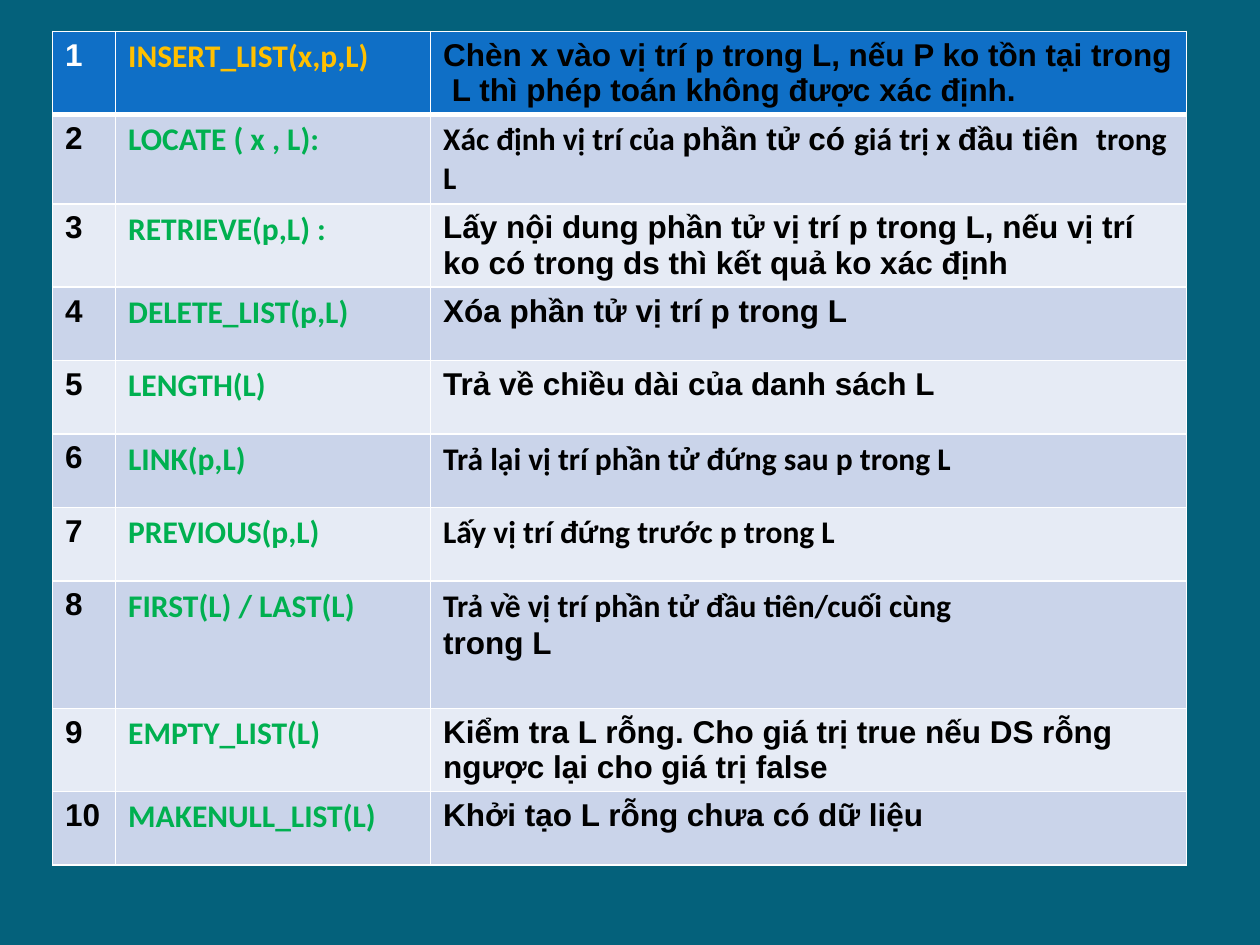
from lxml import etree
from pptx import Presentation
from pptx.dml.color import RGBColor
from pptx.oxml.ns import qn
from pptx.util import Cm, Pt

SANS, BODY = "Arial", "Calibri"
BACKGROUND, HEADER, BANDS = "04617B", "0F6FC6", ("E6EBF5", "CAD4EA")
WHITE, BLACK, GOLD, GREEN = "FFFFFF", "000000", "FFC000", "00B050"

# Operation, then its description: paragraphs of (text, font) runs
OPERATIONS = [
    ("INSERT_LIST(x,p,L)",
     [[("Chèn x vào vị trí p trong L, nếu P ko tồn tại trong  L thì phép toán không được xác định.", SANS)]]),
    ("LOCATE ( x , L):",
     [[("Xác định vị trí của ", BODY), ("phần tử có ", SANS), ("giá trị x ", BODY),
       ("đầu tiên  ", SANS), ("trong L", BODY)]]),
    ("RETRIEVE(p,L) :",
     [[("Lấy nội dung phần tử vị trí p trong L, nếu vị trí ko có trong ds thì kết quả ko xác định", SANS)]]),
    ("DELETE_LIST(p,L)", [[("Xóa phần tử vị trí p trong L", SANS)]]),
    ("LENGTH(L)", [[("Trả về chiều dài của danh sách L", SANS)]]),
    ("LINK(p,L)", [[("Trả lại vị trí phần tử đứng sau p trong L", BODY)]]),
    ("PREVIOUS(p,L)", [[("Lấy vị trí đứng trước p trong L", BODY)]]),
    ("FIRST(L) / LAST(L)",
     [[("Trả về vị trí phần tử đầu tiên/cuối cùng", BODY)], [("trong L", SANS)]]),
    ("EMPTY_LIST(L)",
     [[("Kiểm tra L rỗng. Cho giá trị true nếu DS rỗng ngược lại cho giá trị false", SANS)]]),
    ("MAKENULL_LIST(L)", [[("Khởi tạo L rỗng chưa có dữ liệu", SANS)]]),
]
COLUMN_WIDTHS = (1.27, 6.35, 15.24)
ROW_HEIGHT, TWO_PARAGRAPH_HEIGHT = 1.48, 2.57


def rgb(value):
    return RGBColor.from_string(value)


def add_borders(cell, widths):
    """Draw white borders; widths maps L, R, T, B to points."""
    tcPr = cell._tc.get_or_add_tcPr()
    for i, (side, width) in enumerate(widths.items()):
        ln = etree.Element(qn(f"a:ln{side}"), w=str(Pt(width)))
        fill = etree.SubElement(ln, qn("a:solidFill"))
        etree.SubElement(fill, qn("a:srgbClr"), val=WHITE)
        tcPr.insert(i, ln)


def fill_cell(cell, paragraphs, color, fill, widths):
    cell.fill.solid()
    cell.fill.fore_color.rgb = rgb(fill)
    add_borders(cell, widths)
    tf = cell.text_frame
    for i, runs in enumerate(paragraphs):
        p = tf.add_paragraph() if i else tf.paragraphs[0]
        for text, font in runs:
            r = p.add_run()
            r.text = text
            r.font.name, r.font.size, r.font.bold = font, Pt(18), True
            r.font.color.rgb = rgb(color)


prs = Presentation()
prs.slide_width, prs.slide_height = Cm(25.4), Cm(19.05)
s = prs.slides.add_slide(prs.slide_layouts[6])
s.background.fill.solid()
s.background.fill.fore_color.rgb = rgb(BACKGROUND)

heights = [TWO_PARAGRAPH_HEIGHT if len(paragraphs) > 1 else ROW_HEIGHT
           for _, paragraphs in OPERATIONS]
table = s.shapes.add_table(len(OPERATIONS), len(COLUMN_WIDTHS), Cm(1.06), Cm(0.63),
                           Cm(sum(COLUMN_WIDTHS)), Cm(sum(heights))).table
for column, width in zip(table.columns, COLUMN_WIDTHS):
    column.width = Cm(width)

for i, (operation, description) in enumerate(OPERATIONS):
    table.rows[i].height = Cm(heights[i])
    is_header = i == 0
    fill = HEADER if is_header else BANDS[i % 2]
    widths = {"L": 1, "R": 1, "T": 3 if i == 1 else 1, "B": 3 if is_header else 1}
    contents = [
        ([[(str(i + 1), SANS)]], WHITE if is_header else BLACK),
        ([[(operation, BODY)]], GOLD if is_header else GREEN),
        (description, BLACK),
    ]
    for cell, (paragraphs, color) in zip(table.rows[i].cells, contents):
        fill_cell(cell, paragraphs, color, fill, widths)

prs.save("out.pptx")
